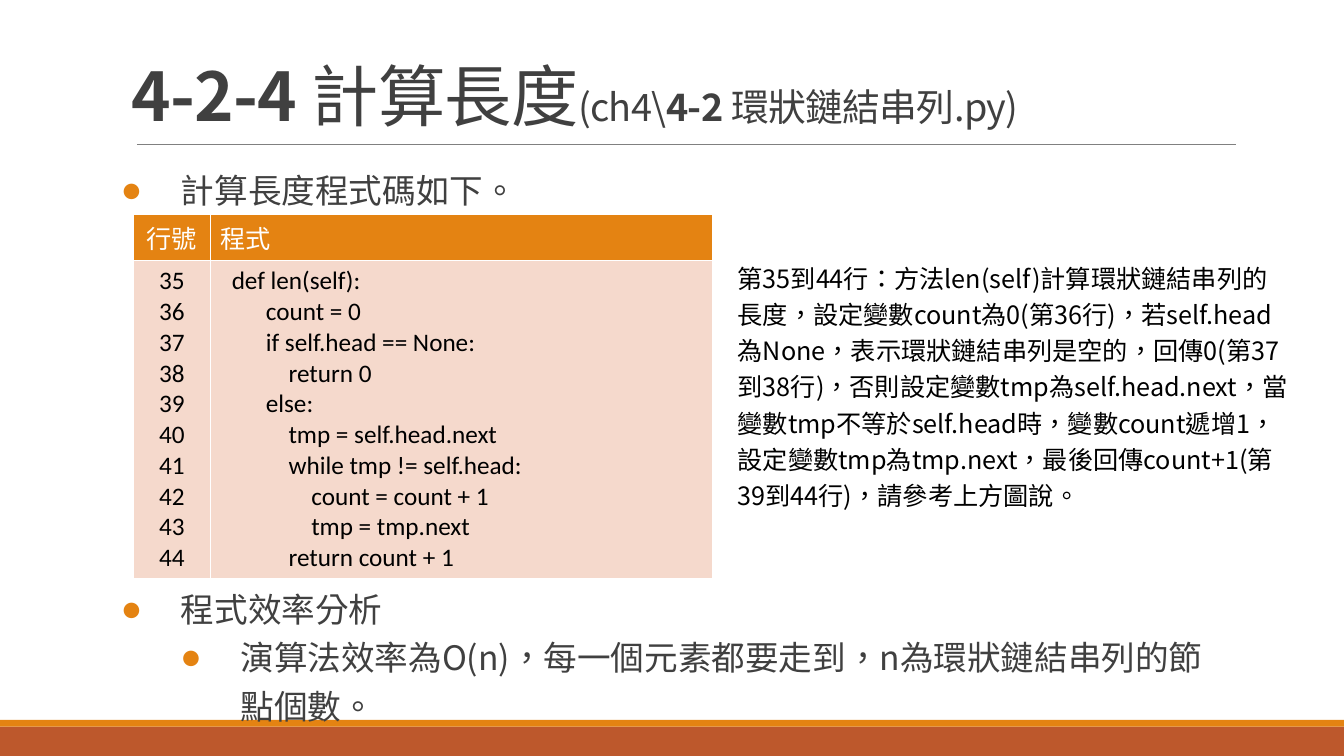
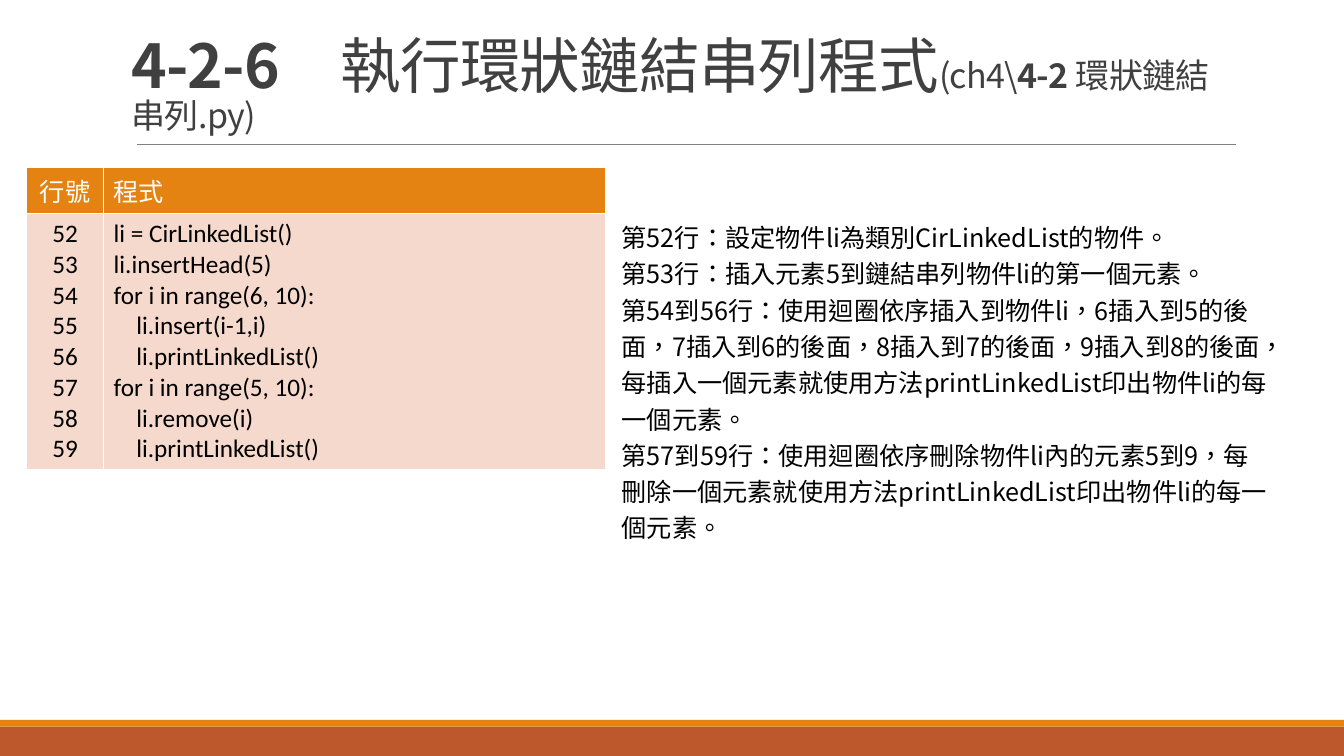
from lxml.etree import SubElement
from pptx import Presentation
from pptx.dml.color import RGBColor
from pptx.enum.lang import MSO_LANGUAGE_ID as Language
from pptx.enum.shapes import MSO_CONNECTOR as Connector, MSO_SHAPE as Shape
from pptx.enum.text import MSO_ANCHOR as Anchor, PP_ALIGN as Align
from pptx.oxml.ns import qn
from pptx.util import Cm, Pt

COLORS = {
    "accent": "E48312", "band": "BD582C", "rule": "808080", "title": "404040",
    "text": "000000", "white": "FFFFFF", "code": "F5D9CC",
}
CJK, LATIN = "Noto Sans CJK SC", "Calibri"
BODY_LEFT, BODY_WIDTH, INDENT = 3.06, 27.94, 1.5
LINE_HEIGHT, HEADER_HEIGHT, CELL_PADDING = 0.775, 1.16, 0.25
TEXT_SPACING, TITLE_SPACING = 1.2, 0.85
COLUMN_WIDTHS = (1.94, 12.66)
HEADERS = ("行號", "程式")

# Content: title runs are (text, is small, is bold); lengths are in cm
FILE_NAME = [("(ch4\\", True, False), ("4-2 ", True, True), ("環狀鏈結串列.py)", True, False)]
SLIDES = [
    {
        "title": [("4-2-4 ", False, True), ("計算長度", False, False)],
        "title_sizes": (48, 27),
        "bullets": [
            (3.95, 1.4, [(0, "計算長度程式碼如下。")]),
            (14.51, 3.9, [
                (0, "程式效率分析"),
                (1, "演算法效率為O(n)，每一個元素都要走到，n為環狀鏈結串列的節點個數。"),
            ]),
        ],
        "table_at": (3.36, 5.41),
        "first_line": 35,
        "code": [
            "  def len(self):",
            "        count = 0",
            "        if self.head == None:",
            "            return 0",
            "        else:",
            "            tmp = self.head.next",
            "            while tmp != self.head:",
            "                count = count + 1",
            "                tmp = tmp.next",
            "            return count + 1",
        ],
        "notes_at": (18.34, 6.35, 14.43, 6.63),
        "explanation": [
            "第35到44行：方法len(self)計算環狀鏈結串列的長度，設定變數count為0(第36行)，"
            "若self.head為None，表示環狀鏈結串列是空的，回傳0(第37到38行)，"
            "否則設定變數tmp為self.head.next，當變數tmp不等於self.head時，變數count遞增1，"
            "設定變數tmp為tmp.next，最後回傳count+1(第39到44行)，請參考上方圖說。",
        ],
    },
    {
        "title": [("4-2-6　", False, True), ("執行環狀鏈結串列程式", False, False)],
        "title_sizes": (43.2, 24.3),
        "bullets": [],
        "table_at": (0.67, 4.22),
        "first_line": 52,
        "code": [
            "li = CirLinkedList()",
            "li.insertHead(5)",
            "for i in range(6, 10):",
            "    li.insert(i-1,i)",
            "    li.printLinkedList()",
            "for i in range(5, 10):",
            "    li.remove(i)",
            "    li.printLinkedList()",
        ],
        "notes_at": (15.42, 5.33, 16.87, 8.56),
        "explanation": [
            "第52行：設定物件li為類別CirLinkedList的物件。",
            "第53行：插入元素5到鏈結串列物件li的第一個元素。",
            "第54到56行：使用迴圈依序插入到物件li，6插入到5的後面，7插入到6的後面，"
            "8插入到7的後面，9插入到8的後面，"
            "每插入一個元素就使用方法printLinkedList印出物件li的每一個元素。",
            "第57到59行：使用迴圈依序刪除物件li內的元素5到9，"
            "每刪除一個元素就使用方法printLinkedList印出物件li的每一個元素。",
        ],
    },
]


def rgb(name):
    return RGBColor.from_string(COLORS[name])


# Text helpers
def add_run(paragraph, text, size, color, font=CJK, bold=False):
    run = paragraph.add_run()
    run.text = text
    run_format = {
        "size": Pt(size), "name": font, "bold": bold,
        "language_id": Language.TRADITIONAL_CHINESE,
    }
    for name, value in run_format.items():
        setattr(run.font, name, value)
    run.font.color.rgb = rgb(color)
    SubElement(run.font._element, qn("a:ea"), typeface=CJK)
    return run


def paragraphs_of(frame, count):
    for _ in range(count - 1):
        frame.add_paragraph()
    return frame.paragraphs


def add_text_box(slide, at, **frame_format):
    frame = slide.shapes.add_textbox(*map(Cm, at)).text_frame
    for name, value in {"word_wrap": True, **frame_format}.items():
        setattr(frame, name, value)
    return frame


def add_bullet(paragraph, level):
    properties = paragraph._p.get_or_add_pPr()
    properties.set("marL", str(Cm(INDENT * (level + 1))))
    properties.set("indent", str(-Cm(INDENT)))
    color = SubElement(properties, qn("a:buClr"))
    SubElement(color, qn("a:srgbClr"), val=COLORS["accent"])
    SubElement(properties, qn("a:buFont"), typeface=LATIN)
    SubElement(properties, qn("a:buChar"), char="●")


# Shared frame: footer bands, title rule and title
def add_frame(slide):
    for top, height, color in ((18.31, 0.74, "band"), (18.14, 0.17, "accent")):
        band = slide.shapes.add_shape(Shape.RECTANGLE, 0, Cm(top), Cm(33.87), Cm(height))
        band.shadow.inherit = False
        band.fill.solid()
        band.fill.fore_color.rgb = rgb(color)
        band.line.fill.background()
    rule = slide.shapes.add_connector(Connector.STRAIGHT, Cm(3.45), Cm(3.63), Cm(31.14), Cm(3.63))
    rule.line.color.rgb = rgb("rule")
    rule.line.width = Pt(0.5)
    SubElement(rule._element.spPr, qn("a:effectLst"))


def add_title(slide, runs, sizes):
    frame = add_text_box(slide, (BODY_LEFT, 0.79, BODY_WIDTH, 2.74), vertical_anchor=Anchor.BOTTOM)
    paragraph = frame.paragraphs[0]
    paragraph.line_spacing = TITLE_SPACING
    for text, small, bold in runs:
        run = add_run(paragraph, text, sizes[small], "title", bold=bold)
        run.font._element.set("spc", "-50")


# Slide parts
def add_bullets(slide, top, height, items):
    frame = add_text_box(slide, (BODY_LEFT, top, BODY_WIDTH, height), margin_left=0, margin_right=0)
    for paragraph, (level, text) in zip(paragraphs_of(frame, len(items)), items):
        add_bullet(paragraph, level)
        paragraph.line_spacing = TEXT_SPACING
        add_run(paragraph, text, 24, "title")


def fill_cell(cell, lines, fill, color, centered):
    properties = cell._tc.get_or_add_tcPr()
    for side in ("lnL", "lnR", "lnT", "lnB"):
        border = SubElement(properties, qn(f"a:{side}"), w=str(Pt(1)))
        SubElement(SubElement(border, qn("a:solidFill")), qn("a:srgbClr"), val=COLORS["white"])
    cell.fill.solid()
    cell.fill.fore_color.rgb = rgb(fill)
    for paragraph, line in zip(paragraphs_of(cell.text_frame, len(lines)), lines):
        paragraph.alignment = Align.CENTER if centered else Align.LEFT
        add_run(paragraph, line, 18, color, LATIN)


def add_code_table(slide, at, first_line, code):
    heights = (HEADER_HEIGHT, LINE_HEIGHT * len(code) + CELL_PADDING)
    size = (sum(COLUMN_WIDTHS), sum(heights))
    table = slide.shapes.add_table(2, 2, *map(Cm, at + size)).table
    for row, height in zip(table.rows, heights):
        row.height = Cm(height)
    numbers = [str(first_line + offset) for offset in range(len(code))]
    for index, (width, lines) in enumerate(zip(COLUMN_WIDTHS, (numbers, code))):
        table.columns[index].width = Cm(width)
        fill_cell(table.cell(0, index), [HEADERS[index]], "accent", "white", index == 0)
        fill_cell(table.cell(1, index), lines, "code", "text", index == 0)


def add_explanation(slide, at, texts):
    frame = add_text_box(slide, at)
    for paragraph, text in zip(paragraphs_of(frame, len(texts)), texts):
        paragraph.line_spacing = TEXT_SPACING
        add_run(paragraph, text, 18, "text")


def main():
    presentation = Presentation()
    presentation.slide_width, presentation.slide_height = Cm(33.87), Cm(19.05)
    for content in SLIDES:
        slide = presentation.slides.add_slide(presentation.slide_layouts[6])
        add_frame(slide)
        add_title(slide, content["title"] + FILE_NAME, content["title_sizes"])
        for top, height, items in content["bullets"]:
            add_bullets(slide, top, height, items)
        add_code_table(slide, content["table_at"], content["first_line"], content["code"])
        add_explanation(slide, content["notes_at"], content["explanation"])
    presentation.save("out.pptx")


if __name__ == "__main__":
    main()
